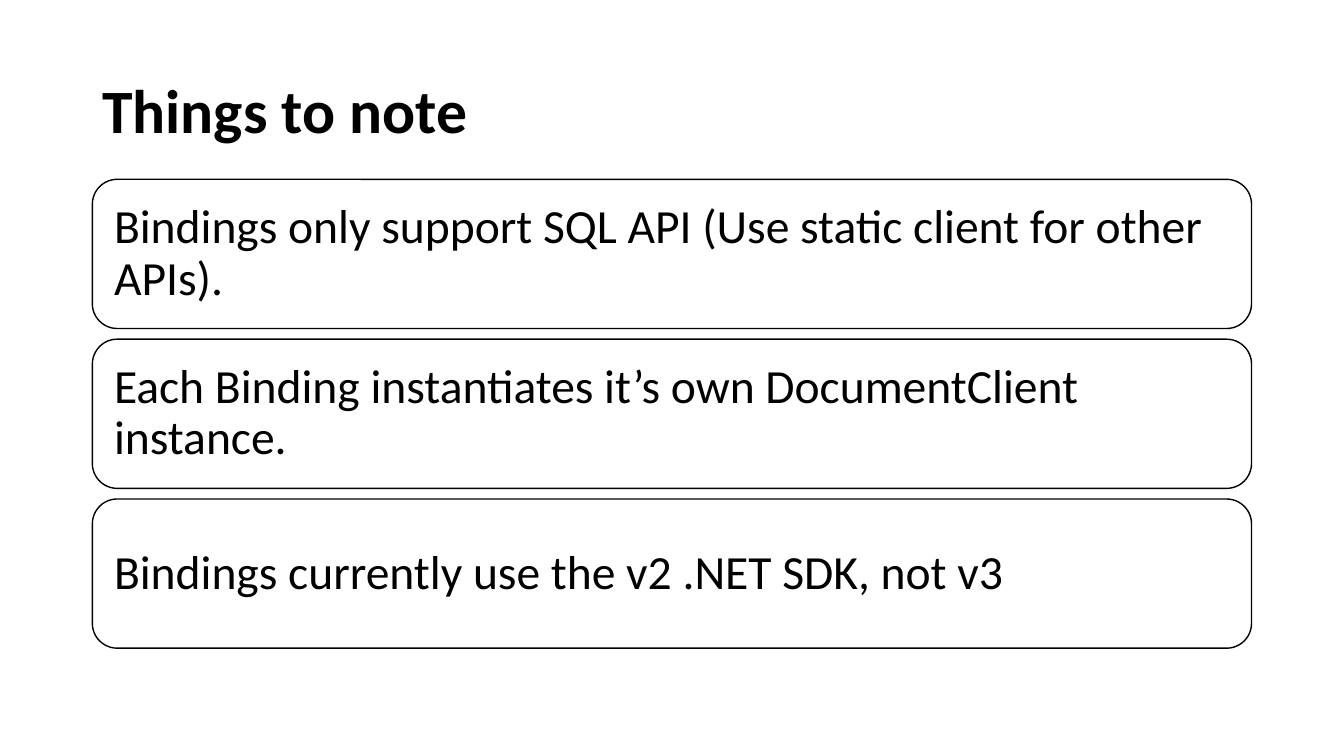
from pptx import Presentation
from pptx.dml.color import RGBColor
from pptx.enum.shapes import MSO_SHAPE as Shape
from pptx.enum.text import MSO_ANCHOR as Anchor, PP_ALIGN as Align
from pptx.util import Pt

BLACK = RGBColor(0, 0, 0)
WHITE = RGBColor(255, 255, 255)
FONT = "Calibri"
NOTES = [
    "Bindings only support SQL API (Use static client for other APIs).",
    "Each Binding instantiates it’s own DocumentClient instance.",
    "Bindings currently use the v2 .NET SDK, not v3",
]
CARD_GAP = 7.6
CARD_INSET = 10.3


def write_text(box, text, size, bold=False):
    frame = box.text_frame
    frame.word_wrap = True
    frame.vertical_anchor = Anchor.MIDDLE
    para = frame.paragraphs[0]
    para.text = text
    para.alignment = Align.LEFT
    para.line_spacing = 0.9
    para.font.name = FONT
    para.font.size = Pt(size)
    para.font.bold = bold
    para.font.color.rgb = BLACK


def add_title(page, left, top, width, height):
    box = page.shapes.add_textbox(Pt(left), Pt(top), Pt(width), Pt(height))
    write_text(box, "Things to note", 44, bold=True)


def add_card(page, text, left, top, width, height):
    card = page.shapes.add_shape(
        Shape.ROUNDED_RECTANGLE, Pt(left), Pt(top), Pt(width), Pt(height))
    card.shadow.inherit = False
    card.fill.solid()
    card.fill.fore_color.rgb = WHITE
    card.line.color.rgb = BLACK
    card.line.width = Pt(1)
    frame = card.text_frame
    frame.margin_left = frame.margin_right = Pt(CARD_INSET)
    frame.margin_top = frame.margin_bottom = Pt(CARD_INSET)
    write_text(card, text, 34)


def add_note_cards(page, left, top, width, height):
    """Stack one card per note, sharing the height evenly."""
    card_height = (height - CARD_GAP * (len(NOTES) - 1)) / len(NOTES)
    for index, note in enumerate(NOTES):
        card_top = top + index * (card_height + CARD_GAP)
        add_card(page, note, left, card_top, width, card_height)


def main():
    deck = Presentation()
    deck.slide_width, deck.slide_height = Pt(960), Pt(540)
    page = deck.slides.add_slide(deck.slide_layouts[6])
    add_title(page, 66, 28.75, 828, 104.4)
    add_note_cards(page, 66, 128.1, 828, 334.9)
    deck.save("out.pptx")


if __name__ == "__main__":
    main()
